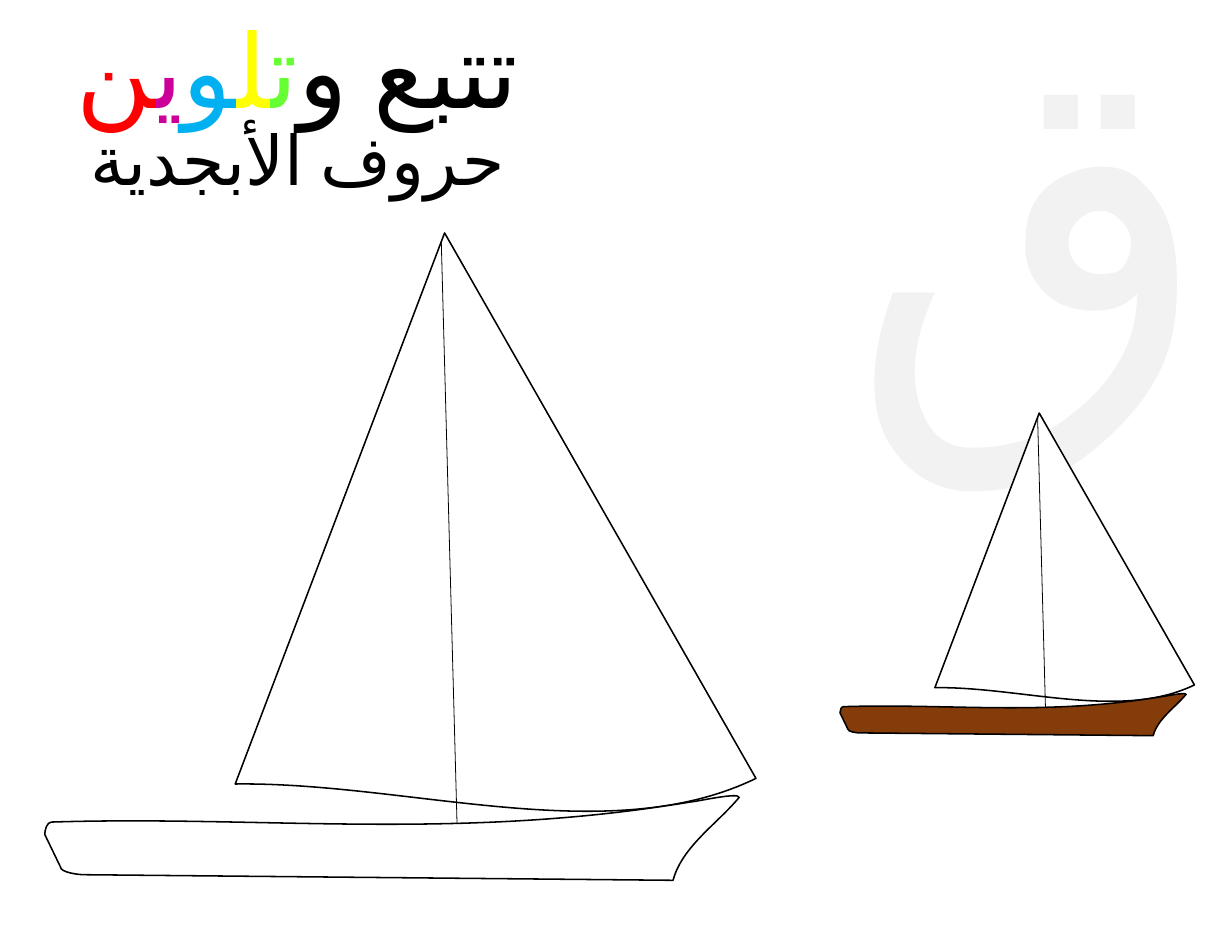
import math

from lxml import etree
from pptx import Presentation
from pptx.dml.color import RGBColor
from pptx.enum import lang, shapes, text
from pptx.oxml.ns import qn
from pptx.util import Inches, Pt

COLOURS = {
    "black": "000000", "white": "FFFFFF", "pale": "F2F2F2", "wood": "843C0B",
    "green": "66FF33", "yellow": "FFFF00", "blue": "00B0F0",
    "purple": "CC0099", "red": "FF0000",
}
FONT = "Montserrat"

# Outlines in inches: each part is a corner (one pair) or a curve (three pairs).
SAIL = [[(2.1, 7)], [(3.97, 2.08)], [(6.75, 6.95)],
        [(5.43, 7.59), (3.65, 6.98), (2.1, 7)]]
SAIL_BOX = (1.79, 2.09, 4.6, 5.35)
SAIL_TILT = -8.6
HULL = [[(0.4, 7.45)],
        [(0.4, 7.41), (0.42, 7.34), (0.46, 7.34)],
        [(2.36, 7.28), (4.07, 7.51), (6.17, 7.16)],
        [(6.21, 7.16), (6.6, 7.07), (6.6, 7.12)],
        [(6.4, 7.36), (6.09, 7.56), (6.01, 7.86)],
        [(0.75, 7.81)],
        [(0.7, 7.81), (0.54, 7.79), (0.54, 7.74)]]
HULL_BOX = (0.4, 7.1, 6.2, 0.75)
MAST = [(3.94, 2.15), (4.09, 7.69)]


def colour(name):
    return RGBColor.from_string(COLOURS[name])


def turn(point, centre, degrees):
    cos, sin = math.cos(math.radians(degrees)), math.sin(math.radians(degrees))
    x, y = point[0] - centre[0], point[1] - centre[1]
    return centre[0] + x * cos - y * sin, centre[1] + x * sin + y * cos


def bend(shape, parts, box):
    """Make curves of the three-point parts and fit the frame to box."""
    left, top, width, height = map(Inches, box)
    route = shape._element.find(".//" + qn("a:path"))
    for point in route.iter(qn("a:pt")):
        point.set("x", str(int(point.get("x")) + shape.left - left))
        point.set("y", str(int(point.get("y")) + shape.top - top))
    route.set("w", str(width))
    route.set("h", str(height))
    shape.left, shape.top, shape.width, shape.height = left, top, width, height
    segments = iter(route.findall(qn("a:lnTo")))
    for part in parts[1:]:
        lines = [next(segments) for _ in part]
        if len(lines) == 3:
            curve = etree.Element(qn("a:cubicBezTo"))
            lines[0].addprevious(curve)
            for line in lines:
                curve.append(line[0])
                route.remove(line)


class ColouringPage:
    def __init__(self, page):
        self.page = page

    def label(self, left, top, width, height, size, pieces, align=None, outline=None):
        """Add one line of text; pieces are (wording, colour name) pairs."""
        box = self.page.shapes.add_textbox(*map(Inches, (left, top, width, height)))
        frame = box.text_frame
        frame.word_wrap = True
        frame.auto_size = text.MSO_AUTO_SIZE.SHAPE_TO_FIT_TEXT
        para = frame.paragraphs[0]
        para.alignment = align
        for wording, name in pieces:
            span = para.add_run()
            span.text = wording
            span.font.size = Pt(size)
            span.font.name = FONT
            span.font.language_id = lang.MSO_LANGUAGE_ID.ARABIC
            span.font.color.rgb = colour(name)
            if outline:
                line = etree.Element(qn("a:ln"), w=str(Pt(outline)))
                fill = etree.SubElement(line, qn("a:solidFill"))
                etree.SubElement(fill, qn("a:srgbClr")).set("val", COLOURS["black"])
                span.font._element.insert(0, line)

    def outline(self, group, parts, box, fill, rotation=0):
        points = [tuple(map(Inches, point)) for part in parts for point in part]
        builder = group.shapes.build_freeform(*points[0], scale=1.0)
        builder.add_line_segments(points[1:], close=True)
        shape = builder.convert_to_shape()
        bend(shape, parts, box)
        shape.rotation = rotation
        shape.shadow.inherit = False
        shape.fill.solid()
        shape.fill.fore_color.rgb = colour(fill)
        shape.line.color.rgb = colour("black")
        shape.line.width = Pt(1)

    def line(self, group, start, end):
        connector = group.shapes.add_connector(
            shapes.MSO_CONNECTOR.STRAIGHT, *map(Inches, (*start, *end)))
        connector.line.color.rgb = colour("black")
        connector.line.width = Pt(0.5)
        etree.SubElement(connector._element.spPr, qn("a:effectLst"))

    def boat(self, left, top, width, hull_fill):
        """Draw the boat with its hull's box at left, top, scaled to width."""
        scale = width / HULL_BOX[2]

        def place(point):
            return (left + (point[0] - HULL_BOX[0]) * scale,
                    top + (point[1] - HULL_BOX[1]) * scale)

        def place_box(box):
            return (*place(box[:2]), box[2] * scale, box[3] * scale)

        centre = (SAIL_BOX[0] + SAIL_BOX[2] / 2, SAIL_BOX[1] + SAIL_BOX[3] / 2)
        sail = [[place(turn(point, centre, -SAIL_TILT)) for point in part]
                for part in SAIL]
        hull = [[place(point) for point in part] for part in HULL]
        group = self.page.shapes.add_group_shape()
        self.outline(group, sail, place_box(SAIL_BOX), "white", SAIL_TILT)
        self.line(group, *map(place, MAST))
        self.outline(group, hull, place_box(HULL_BOX), hull_fill)


def main():
    deck = Presentation()
    deck.slide_width, deck.slide_height = Inches(11), Inches(8.5)
    sheet = ColouringPage(deck.slides.add_slide(deck.slide_layouts[6]))
    centre = text.PP_ALIGN.CENTER

    sheet.label(7.5, -0.72, 3.8, 5.15, 300, [("ق", "pale")], outline=0.75)
    sheet.boat(*HULL_BOX[:3], "white")
    sheet.boat(7.5, 6.19, 3.09, "wood")
    sheet.label(-0.1, 0, 5.51, 1.21, 66, [
        ("تتبع و", "black"), ("ت", "green"), ("ل", "yellow"),
        ("و", "blue"), ("ي", "purple"), ("ن", "red")], centre)
    sheet.label(0.1, 1, 5.12, 0.84, 44, [("حروف الأبجدية", "black")], centre)
    deck.save("out.pptx")


if __name__ == "__main__":
    main()
